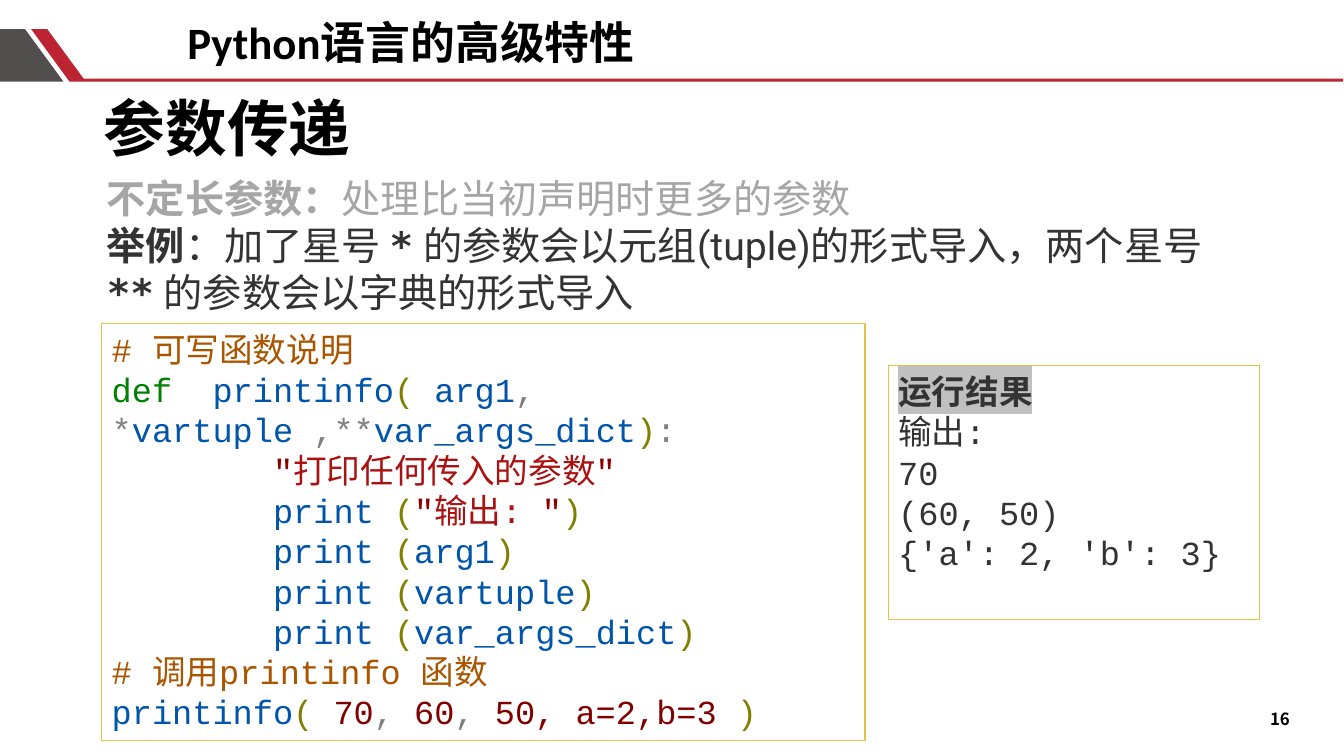
from dataclasses import dataclass

from lxml import etree
from pptx import Presentation
from pptx.dml.color import RGBColor
from pptx.enum.shapes import MSO_SHAPE
from pptx.enum.text import MSO_ANCHOR, MSO_AUTO_SIZE, PP_ALIGN
from pptx.oxml.ns import qn
from pptx.util import Inches, Pt

RECTANGLE = MSO_SHAPE.RECTANGLE
TOP, MIDDLE = MSO_ANCHOR.TOP, MSO_ANCHOR.MIDDLE
LEFT, CENTER = PP_ALIGN.LEFT, PP_ALIGN.CENTER
NO_FIT = MSO_AUTO_SIZE.NONE


@dataclass(frozen=True)
class Theme:
    black: str = "000000"
    red: str = "BC2431"
    charcoal: str = "504F4E"
    gold: str = "E5C243"
    muted: str = "A6A6A6"
    text: str = "333333"
    highlight: str = "C0C0C0"
    comment: str = "AA5500"
    keyword: str = "008000"
    name: str = "0055AA"
    bracket: str = "808000"
    punctuation: str = "808080"
    quote: str = "8B0000"
    string: str = "AA1111"
    number: str = "800000"
    title_size: int = 44
    header_size: int = 32
    body_size: int = 28
    code_size: int = 24
    number_size: int = 12
    code_font: str = "Courier New"
    body_font: str = "Roboto"
    star_font: str = "DejaVu Sans Mono"


THEME = Theme()


@dataclass(frozen=True)
class Box:
    left: float
    top: float
    width: float
    height: float

    def inches(self):
        return [Inches(n) for n in (self.left, self.top, self.width, self.height)]


def add_run(paragraph, text, font, size, color, bold=False):
    run = paragraph.add_run()
    run.text = text
    run.font.name = font
    run.font.size = Pt(size)
    run.font.bold = bold
    run.font.color.rgb = RGBColor.from_string(color)
    return run


def highlight(run, color):
    mark = etree.Element(qn("a:highlight"))
    etree.SubElement(mark, qn("a:srgbClr")).set("val", color)
    run.font._element.find(qn("a:solidFill")).addnext(mark)


def prepare_frame(shape, anchor=TOP):
    frame = shape.text_frame
    frame.word_wrap = True
    frame.auto_size = NO_FIT
    frame.vertical_anchor = anchor
    return frame


def place(shape, box):
    shape.left, shape.top, shape.width, shape.height = box.inches()


def next_paragraph(frame, index):
    return frame.paragraphs[0] if index == 0 else frame.add_paragraph()


def add_outline(slide, points, color):
    corners = [(Inches(x), Inches(y)) for x, y in points]
    builder = slide.shapes.build_freeform(*corners[0])
    builder.add_line_segments(corners[1:], close=True)
    shape = builder.convert_to_shape()
    shape.shadow.inherit = False
    shape.fill.solid()
    shape.fill.fore_color.rgb = RGBColor.from_string(color)
    shape.line.fill.background()


def add_label(slide, box, text, font, size, align=LEFT, anchor=TOP):
    frame = prepare_frame(slide.shapes.add_textbox(*box.inches()), anchor)
    paragraph = frame.paragraphs[0]
    paragraph.alignment = align
    add_run(paragraph, text, font, size, THEME.black, True)


# Header band: red stripe with its rule, grey tab, course name
def add_header(slide, box):
    left, top = box.left, box.top
    right, bottom = left + box.width, top + box.height
    rule = bottom - 0.03
    add_outline(slide, [(left + 0.86, bottom), (left + 0.69, bottom), (left + 0.31, top),
                        (left + 0.47, top), (left + 0.83, rule), (right, rule),
                        (right, bottom)], THEME.red)
    add_outline(slide, [(left, top), (left + 0.25, top), (left + 0.63, bottom),
                        (left, bottom)], THEME.charcoal)
    add_label(slide, Box(left + 1.76, top - 0.15, 6.21, 0.55), "Python语言的高级特性",
              "Calibri", THEME.header_size, anchor=MIDDLE)


# Slide title
def fill_title(slide, box):
    title = slide.shapes.title
    place(title, box)
    paragraph = prepare_frame(title).paragraphs[0]
    paragraph.alignment = LEFT
    paragraph.line_spacing = 0.9
    add_run(paragraph, "参数传递", "Montserrat", THEME.title_size, THEME.black, True)


# Explanation of variable-length parameters
def fill_explanation(slide, box):
    body = slide.placeholders[1]
    place(body, box)
    frame = prepare_frame(body)
    sans, mono = THEME.body_font, THEME.star_font
    paragraphs = [
        (THEME.muted, [("不定长参数：", "Arial", True),
                       ("处理比当初声明时更多的参数", "Arial", False)]),
        (THEME.text, [("举例", sans, True), ("：加了星号 ", sans, False),
                      ("*", mono, True),
                      (" 的参数会以元组(tuple)的形式导入，两个星号 ", sans, False),
                      ("**", mono, True), (" 的参数会以字典的形式导入", sans, False)]),
    ]
    for index, (color, runs) in enumerate(paragraphs):
        paragraph = next_paragraph(frame, index)
        properties = paragraph._p.get_or_add_pPr()
        properties.set("marL", "0")
        properties.set("indent", "0")
        etree.SubElement(properties, qn("a:buNone"))
        paragraph.space_before = Pt(0)
        for text, font, bold in runs:
            add_run(paragraph, text, font, THEME.body_size, color, bold)


def add_code_panel(slide, box, lines):
    panel = slide.shapes.add_shape(RECTANGLE, *box.inches())
    panel.shadow.inherit = False
    panel.fill.background()
    panel.line.color.rgb = RGBColor.from_string(THEME.gold)
    panel.line.width = Pt(0.75)
    frame = prepare_frame(panel)
    for index, tokens in enumerate(lines):
        paragraph = next_paragraph(frame, index)
        paragraph.alignment = LEFT
        for text, color in tokens:
            add_run(paragraph, text, THEME.code_font, THEME.code_size, color)
    return frame


# Program output
def add_result(slide, box):
    lines = ["运行结果", "输出:", "70", "(60, 50)", "{'a': 2, 'b': 3}"]
    frame = add_code_panel(slide, box, [[(line, THEME.text)] for line in lines])
    heading = frame.paragraphs[0].runs[0]
    heading.font.bold = True
    highlight(heading, THEME.highlight)


# Source code
def add_source(slide, box):
    name, bracket, mark = THEME.name, THEME.bracket, THEME.punctuation
    quote, number = ('"', THEME.quote), THEME.number
    indent = ("        ", mark)

    def print_line(*argument):
        return [indent, ("print ", name), ("(", bracket), *argument, (")", bracket)]

    add_code_panel(slide, box, [
        [("# 可写函数说明", THEME.comment)],
        [("def  ", THEME.keyword), ("printinfo", name), ("( ", bracket), ("arg1", name),
         (", *", mark), ("vartuple ", name), (",**", mark), ("var_args_dict", name),
         (")", bracket), (":", mark)],
        [indent, quote, ("打印任何传入的参数", THEME.string), quote],
        print_line(quote, ("输出: ", THEME.string), quote),
        *[print_line((value, name)) for value in ("arg1", "vartuple", "var_args_dict")],
        [("# 调用printinfo 函数", THEME.comment)],
        [("printinfo", name), ("( ", bracket), ("70", number), (", ", mark),
         ("60", number), (", ", mark), ("50, a=2,b=3 ", number), (")", bracket)],
    ])


def main():
    presentation = Presentation()
    presentation.slide_width, presentation.slide_height = Inches(13.33), Inches(7.5)
    slide = presentation.slides.add_slide(presentation.slide_layouts[1])
    add_header(slide, Box(0, 0.29, 13.32, 0.52))
    add_label(slide, Box(12.34, 6.98, 0.71, 0.3), "16", "Noto Sans CJK SC",
              THEME.number_size, CENTER)
    fill_title(slide, Box(0.93, 0.92, 8.49, 1.45))
    fill_explanation(slide, Box(0.96, 1.68, 11.44, 1.51))
    add_result(slide, Box(8.81, 3.63, 3.68, 2.52))
    add_source(slide, Box(1.01, 3.21, 7.57, 4.14))
    presentation.save("out.pptx")


if __name__ == "__main__":
    main()
